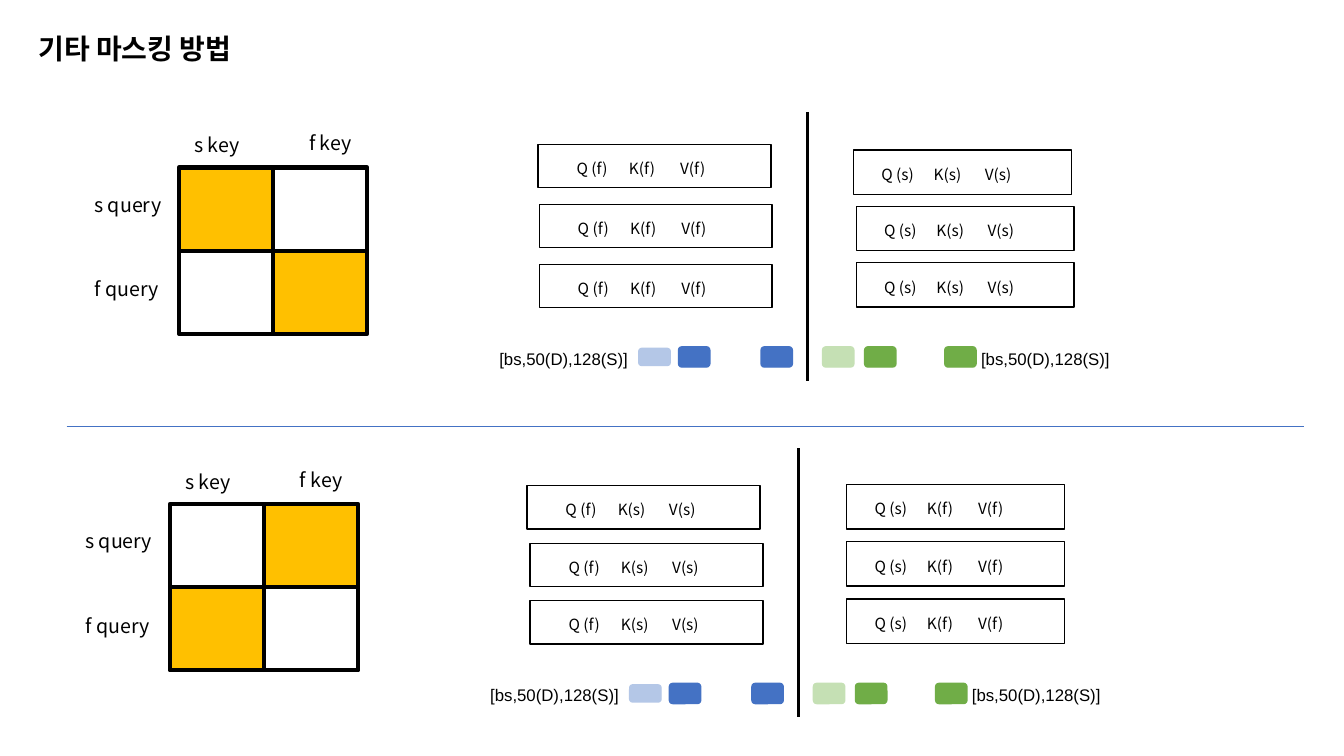
from dataclasses import dataclass

import pptx
import pptx.dml.color
import pptx.enum.shapes
import pptx.enum.text
import pptx.oxml
import pptx.oxml.ns
import pptx.util
from lxml import etree

Cm = pptx.util.Cm
Pt = pptx.util.Pt
qn = pptx.oxml.ns.qn
RECT = pptx.enum.shapes.MSO_SHAPE.RECTANGLE
ROUNDED = pptx.enum.shapes.MSO_SHAPE.ROUNDED_RECTANGLE
LEFT = pptx.enum.text.PP_ALIGN.LEFT
RIGHT = pptx.enum.text.PP_ALIGN.RIGHT
MIDDLE = pptx.enum.text.MSO_ANCHOR.MIDDLE


@dataclass(frozen=True)
class Theme:
    ink: str = "000000"
    mask: str = "FFC000"
    blue: str = "4472C4"
    pale_blue: str = "B4C7E7"
    green: str = "70AD47"
    pale_green: str = "C5E0B4"
    body_font: str = "Noto Sans CJK KR"
    size_font: str = "Arial"
    title: float = 20
    axis: float = 14
    tensor: float = 12
    layer: float = 11


THEME = Theme()


def rgb(color):
    return pptx.dml.color.RGBColor.from_string(color)


def style_text(paragraph, size, face=THEME.body_font, bold=False):
    for run in paragraph.runs:
        run.font.size = Pt(size)
        run.font.bold = bold
        run.font.color.rgb = rgb(THEME.ink)
        run.font.name = face
        east_asian = etree.SubElement(run.font._element, qn("a:ea"))
        east_asian.set("typeface", face)


def add_block(slide, kind, left, top, width, height, fill=None, line=None, weight=1):
    block = slide.shapes.add_shape(kind, Cm(left), Cm(top), Cm(width), Cm(height))
    block.shadow.inherit = False
    if fill:
        block.fill.solid()
        block.fill.fore_color.rgb = rgb(fill)
    else:
        block.fill.background()
    if line:
        block.line.color.rgb = rgb(line)
        block.line.width = Pt(weight)
    else:
        block.line.fill.background()
    return block


def add_rule(slide, x1, y1, x2, y2, color, weight):
    rule = slide.shapes.add_connector(
        pptx.enum.shapes.MSO_CONNECTOR.STRAIGHT, Cm(x1), Cm(y1), Cm(x2), Cm(y2))
    rule.line.color.rgb = rgb(color)
    rule.line.width = Pt(weight)
    etree.SubElement(rule._element.spPr, qn("a:effectLst"))
    return rule


def add_label(slide, text, left, top, width, height, size, face=THEME.body_font, align=LEFT):
    label = slide.shapes.add_textbox(Cm(left), Cm(top), Cm(width), Cm(height))
    frame = label.text_frame
    frame.word_wrap = True
    frame.text = text
    frame.paragraphs[0].alignment = align
    style_text(frame.paragraphs[0], size, face)


def add_title(slide, text, left, top, width, height):
    title = slide.shapes.title
    title.left, title.top, title.width, title.height = map(Cm, (left, top, width, height))
    frame = title.text_frame
    frame.text = text
    frame.auto_size = pptx.enum.text.MSO_AUTO_SIZE.NONE
    frame.vertical_anchor = MIDDLE
    frame.paragraphs[0].alignment = LEFT
    frame.paragraphs[0].line_spacing = 0.9
    style_text(frame.paragraphs[0], THEME.title, bold=True)


def add_mask_matrix(slide, left, top, width, height, masked_cells):
    cell_width, cell_height = width / 2, height / 2
    for row, column in masked_cells:
        add_block(slide, RECT, left + column * cell_width, top + row * cell_height,
                  cell_width, cell_height, fill=THEME.mask)
    border = add_block(slide, RECT, left, top, width, height, line=THEME.ink, weight=3)
    middle_x, middle_y = left + cell_width, top + cell_height
    for ends, sites in (((middle_x, top, middle_x, top + height), (0, 2)),
                        ((left, middle_y, left + width, middle_y), (1, 3))):
        split = add_rule(slide, *ends, THEME.ink, 3)
        split.begin_connect(border, sites[0])
        split.end_connect(border, sites[1])
    for text, x, y in (("s key", 0.14, -0.99), ("f key", 3.03, -1.04),
                       ("s query", -2.38, 0.51), ("f query", -2.38, 2.64)):
        add_label(slide, text, left + x, top + y, 2.82, 0.86, THEME.axis)


def add_tab_stops(paragraph, positions):
    stops = etree.SubElement(paragraph._p.get_or_add_pPr(), qn("a:tabLst"))
    for position in positions:
        etree.SubElement(stops, qn("a:tab"), pos=str(int(Cm(position))), algn="l")


def add_layers(slide, left, top, width, height, step, first_shift, indent, query, key):
    for index in range(3):
        shift = first_shift if index == 0 else 0
        layer = add_block(slide, RECT, left + shift, top + index * step, width, height,
                          line=THEME.ink)
        frame = layer.text_frame
        frame.margin_left, frame.margin_right = Cm(indent), Cm(0)
        frame.margin_top, frame.margin_bottom = Cm(0.1), Cm(0)
        frame.vertical_anchor = MIDDLE
        frame.text = f"Q ({query})\tK({key})\tV({key})"
        paragraph = frame.paragraphs[0]
        paragraph.alignment = LEFT
        add_tab_stops(paragraph, (1.32, 2.61))
        style_text(paragraph, THEME.layer)


def add_token_row(slide, divider, top):
    tokens = ((-4.25, THEME.pale_blue), (-3.25, THEME.blue), (-1.17, THEME.blue),
              (0.38, THEME.pale_green), (1.44, THEME.green), (3.46, THEME.green))
    for offset, color in tokens:
        inset = 0.04 if color == THEME.pale_blue else 0
        add_block(slide, ROUNDED, divider + offset, top + inset, 0.79, 0.51 - 2 * inset,
                  fill=color, line=color)
    for offset in (-8.13, 4.01):
        add_label(slide, "[bs,50(D),128(S)]", divider + offset, top - 0.08, 3.86, 0.76,
                  THEME.tensor, THEME.size_font, RIGHT)


def add_masking_panel(slide, left, top, masked_cells, f_layers, s_layers, keys):
    add_mask_matrix(slide, left, top, 4.75, 4.19, masked_cells)
    divider = left + 15.84
    add_rule(slide, divider, top - 1.4, divider, top + 5.38, THEME.ink, 2.25)
    for (x, y, step, shift), width, height, indent, query, key in (
            (f_layers, 5.87, 1.09, 0.97, "f", keys[0]),
            (s_layers, 5.49, 1.12, 0.7, "s", keys[1])):
        add_layers(slide, left + x, top + y, width, height, step, shift, indent, query, key)
    add_token_row(slide, divider, top + 4.52)


def main():
    deck = pptx.Presentation()
    deck.slide_width, deck.slide_height = Cm(33.87), Cm(19.05)
    slide = deck.slides.add_slide(deck.slide_layouts[5])
    add_title(slide, "기타 마스킹 방법", 0.71, -0.58, 29.21, 3.68)
    add_masking_panel(slide, 4.51, 4.22, ((0, 0), (1, 1)),
                      (9.08, -0.58, 1.51, -0.03), (17.07, -0.44, 1.42, -0.07), "fs")
    add_rule(slide, 1.68, 10.74, 32.87, 10.74, THEME.blue, 0.5)
    add_masking_panel(slide, 4.28, 12.7, ((0, 1), (1, 0)),
                      (9.08, -0.46, 1.45, -0.08), (17.06, -0.49, 1.44, 0), "sf")
    deck.save("out.pptx")


if __name__ == "__main__":
    main()
